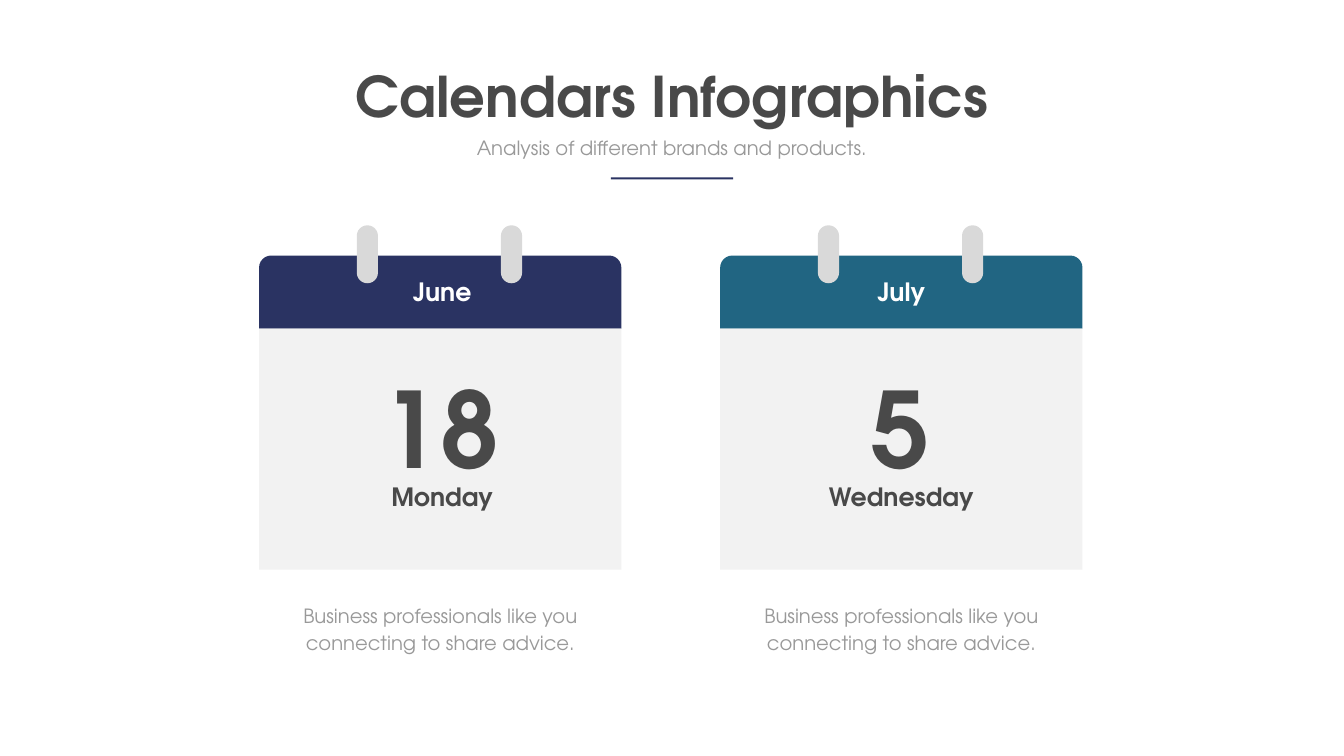
"""Build a slide with two calendar cards under a centred heading."""
from dataclasses import dataclass

from pptx import Presentation
from pptx.dml.color import RGBColor
from pptx.enum import shapes, text
from pptx.util import Pt

TITLE = "Calendars Infographics"
SUBTITLE = "Analysis of different brands and products."
NOTE = "Business professionals like you connecting to share advice."
CALENDARS = [
    dict(month="June", day="18", weekday="Monday", color="2A3362",
         left=514, label_shift=4, day_width=256),
    dict(month="July", day="5", weekday="Wednesday", color="216582",
         left=1429, label_shift=0, day_width=138),
]

SCALE = 9144
SLIDE_WIDTH, SLIDE_HEIGHT = 2667, 1500
CARD_WIDTH, HEADER_TOP, HEADER_HEIGHT = 719, 507, 145
BODY_HEIGHT = 478
PIN_OFFSETS, PIN_TOP, PIN_WIDTH, PIN_HEIGHT = (194, 480), 447, 42, 115
LABEL_WIDTH, LABEL_HEIGHT = 489, 71


@dataclass(frozen=True)
class Theme:
    font: str = "TeX Gyre Adventor"
    dark: str = "494949"
    muted: str = "999999"
    white: str = "FFFFFF"
    accent: str = "2A3362"
    panel: str = "F2F2F2"
    pin: str = "D9D9D9"
    title_size: int = 80
    day_size: int = 150
    label_size: int = 36
    body_size: int = 28
    body_spacing: float = 38.6


THEME = Theme()


def emu(*lengths):
    return [round(length * SCALE) for length in lengths]


def write(shape, content, size, color, bold=False, wrap=True, spacing=None):
    frame = shape.text_frame
    frame.text = content
    frame.word_wrap = wrap
    frame.auto_size = text.MSO_AUTO_SIZE.NONE
    frame.vertical_anchor = text.MSO_ANCHOR.TOP
    paragraph = frame.paragraphs[0]
    paragraph.alignment = text.PP_ALIGN.CENTER
    paragraph.space_before = Pt(0)
    if spacing:
        paragraph.line_spacing = Pt(spacing)
    font = paragraph.font
    font.name, font.size, font.bold = THEME.font, Pt(size), bold
    font.color.rgb = RGBColor.from_string(color)


def fill_placeholder(shape, box, *content, **style):
    shape.left, shape.top, shape.width, shape.height = emu(*box)
    write(shape, *content, **style)


def add_text(slide, box, *content, **style):
    write(slide.shapes.add_textbox(*emu(*box)), *content, **style)


def add_block(parent, kind, box, color):
    shape = parent.shapes.add_shape(kind, *emu(*box))
    shape.shadow.inherit = False
    shape.fill.solid()
    shape.fill.fore_color.rgb = RGBColor.from_string(color)
    shape.line.fill.background()
    return shape


def add_calendar(slide, calendar):
    left = calendar["left"]
    center = left + CARD_WIDTH / 2
    card = slide.shapes.add_group_shape()
    add_block(card, shapes.MSO_SHAPE.ROUND_2_SAME_RECTANGLE,
              (left, HEADER_TOP, CARD_WIDTH, HEADER_HEIGHT), calendar["color"])
    add_block(card, shapes.MSO_SHAPE.RECTANGLE,
              (left, HEADER_TOP + HEADER_HEIGHT, CARD_WIDTH, BODY_HEIGHT), THEME.panel)

    day_width = calendar["day_width"]
    add_text(slide, (center - day_width / 2, 717, day_width, 263), calendar["day"],
             THEME.day_size, THEME.dark, bold=True, wrap=False)
    label_left = center - LABEL_WIDTH / 2 + calendar["label_shift"]
    for key, top, color in (("month", 544, THEME.white), ("weekday", 951, THEME.dark)):
        add_text(slide, (label_left, top, LABEL_WIDTH, LABEL_HEIGHT), calendar[key],
                 THEME.label_size, color, bold=True)
    add_text(slide, (left, 1187, CARD_WIDTH, 118), NOTE, THEME.body_size,
             THEME.muted, spacing=THEME.body_spacing)

    pins = slide.shapes.add_group_shape()
    for offset in PIN_OFFSETS:
        pin = add_block(pins, shapes.MSO_SHAPE.ROUNDED_RECTANGLE,
                        (left + offset, PIN_TOP, PIN_WIDTH, PIN_HEIGHT), THEME.pin)
        pin.adjustments[0] = 0.5


def main():
    presentation = Presentation()
    presentation.slide_width, presentation.slide_height = emu(SLIDE_WIDTH, SLIDE_HEIGHT)
    slide = presentation.slides.add_slide(presentation.slide_layouts[0])
    fill_placeholder(slide.shapes.title, (689, 117, 1289, 145), TITLE,
                     THEME.title_size, THEME.dark, bold=True, wrap=False)
    fill_placeholder(slide.placeholders[1], (855, 265, 956, 57), SUBTITLE,
                     THEME.body_size, THEME.muted)
    add_block(slide, shapes.MSO_SHAPE.RECTANGLE, (1212, 352, 243, 4), THEME.accent)
    for calendar in CALENDARS:
        add_calendar(slide, calendar)
    presentation.save("out.pptx")


if __name__ == "__main__":
    main()
